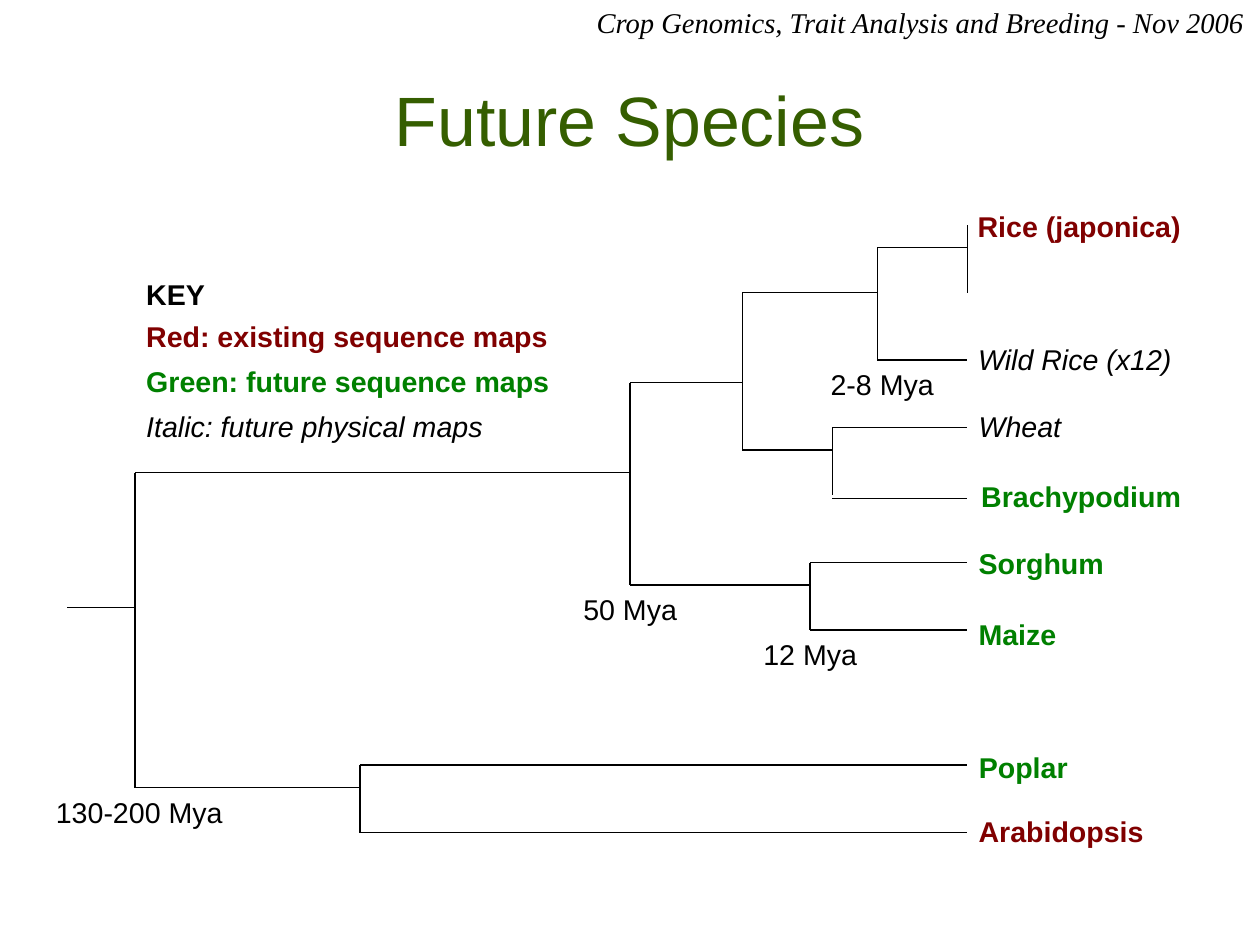
from lxml import etree
from pptx import Presentation
from pptx.dml.color import RGBColor
from pptx.enum import shapes, text
from pptx.oxml import ns
from pptx.util import Pt

BLACK = RGBColor(0x00, 0x00, 0x00)
RED = RGBColor(0x80, 0x00, 0x00)
GREEN = RGBColor(0x00, 0x80, 0x00)
TITLE_GREEN = RGBColor(0x35, 0x5E, 0x00)

EXISTING = {"color": RED, "bold": True}
FUTURE = {"color": GREEN, "bold": True}
PHYSICAL = {"color": BLACK, "italic": True}
HEADING = {"color": BLACK, "bold": True}
PLAIN = {"color": BLACK}

SPECIES = [
    ("Rice (japonica)", 608.8, 127.4, 144, EXISTING),
    ("Wild Rice (x12)", 609.1, 211, 137.5, PHYSICAL),
    ("Wheat", 609.4, 253.2, 67.5, PHYSICAL),
    ("Brachypodium", 611, 297.4, 142, FUTURE),
    ("Sorghum", 609.4, 339.8, 94.5, FUTURE),
    ("Maize", 609.4, 384.5, 65, FUTURE),
    ("Poplar", 609.6, 467.8, 72, FUTURE),
    ("Arabidopsis", 609.4, 508, 120, EXISTING),
]
KEY = [
    ("KEY", 85, 169.9, 53, HEADING),
    ("Red: existing sequence maps", 85, 196.6, 269, EXISTING),
    ("Green: future sequence maps", 85, 224.6, 275, FUTURE),
    ("Italic: future physical maps", 85, 253.2, 228, PHYSICAL),
]
AGES = [
    ("2-8 Mya", 516.2, 226.8, 80.5, PLAIN),
    ("50 Mya", 360.4, 368.4, 75, PLAIN),
    ("12 Mya", 473.8, 396.7, 75, PLAIN),
    ("130-200 Mya", 28.1, 496.1, 121, PLAIN),
]

GRID = 42.52 / 3
TIP = 43
# stem start, stem height, fork, upper branch, lower branch
FORKS = [
    (3, 27, 6, 21, 35),
    (6, 21, 28, 17, 26),
    (6, 35, 16, 34, 37),
    (28, 17, 33, 13, 20),
    (28, 26, 36, 25, 28),
    (33, 13, 39, 11, 16),
    (33, 20, 37, 19, 22),
    (39, 11, 43, 10, 13),
]
TWIGS = [(39, 16), (37, 19), (37, 22.15), (36, 25), (36, 28), (16, 34), (16, 37)]

deck = Presentation()
deck.slide_width, deck.slide_height = Pt(793.75), Pt(595.25)
slide = deck.slides.add_slide(deck.slide_layouts[6])


def add_label(wording, left, top, width, color, height=29.5, size=18, face="Arial",
              bold=False, italic=False, margins=(7.2, 3.6), spacing=1.04, centred=False):
    label = slide.shapes.add_textbox(Pt(left), Pt(top), Pt(width), Pt(height))
    frame = label.text_frame
    frame.word_wrap = centred
    frame.auto_size = text.MSO_AUTO_SIZE.NONE if centred else text.MSO_AUTO_SIZE.SHAPE_TO_FIT_TEXT
    frame.margin_left = frame.margin_right = Pt(margins[0])
    frame.margin_top = frame.margin_bottom = Pt(margins[1])
    frame.vertical_anchor = text.MSO_ANCHOR.MIDDLE if centred else text.MSO_ANCHOR.TOP
    line = frame.paragraphs[0]
    line.line_spacing = spacing
    line.alignment = text.PP_ALIGN.CENTER if centred else text.PP_ALIGN.LEFT
    run = line.add_run()
    run.text = wording
    run.font.name, run.font.size = face, Pt(size)
    run.font.bold, run.font.italic = bold, italic
    run.font.color.rgb = color


def add_branch(x1, y1, x2, y2):
    ends = [Pt(GRID * place) for place in (x1, y1, x2, y2)]
    branch = slide.shapes.add_connector(shapes.MSO_CONNECTOR.STRAIGHT, *ends)
    branch.line.color.rgb = BLACK
    branch.line.width = Pt(0.75)
    etree.SubElement(branch._element.spPr, ns.qn("a:effectLst"))


add_label("Crop Genomics, Trait Analysis and Breeding - Nov 2006", 375.8, 2.9, 411, BLACK,
          height=22.3, face="Times New Roman", italic=True, margins=(0, 0), spacing=1.02)
add_label("Future Species", 39.6, 23.8, 714.2, TITLE_GREEN,
          height=99.4, size=44, margins=(0, 0), centred=True)

for stem, height, fork, upper, lower in FORKS:
    add_branch(stem, height, fork, height)
    add_branch(fork, upper, fork, lower)
for fork, height in TWIGS:
    add_branch(fork, height, TIP, height)

for wording, left, top, width, style in SPECIES + KEY + AGES:
    add_label(wording, left, top, width, **style)

deck.save("out.pptx")
